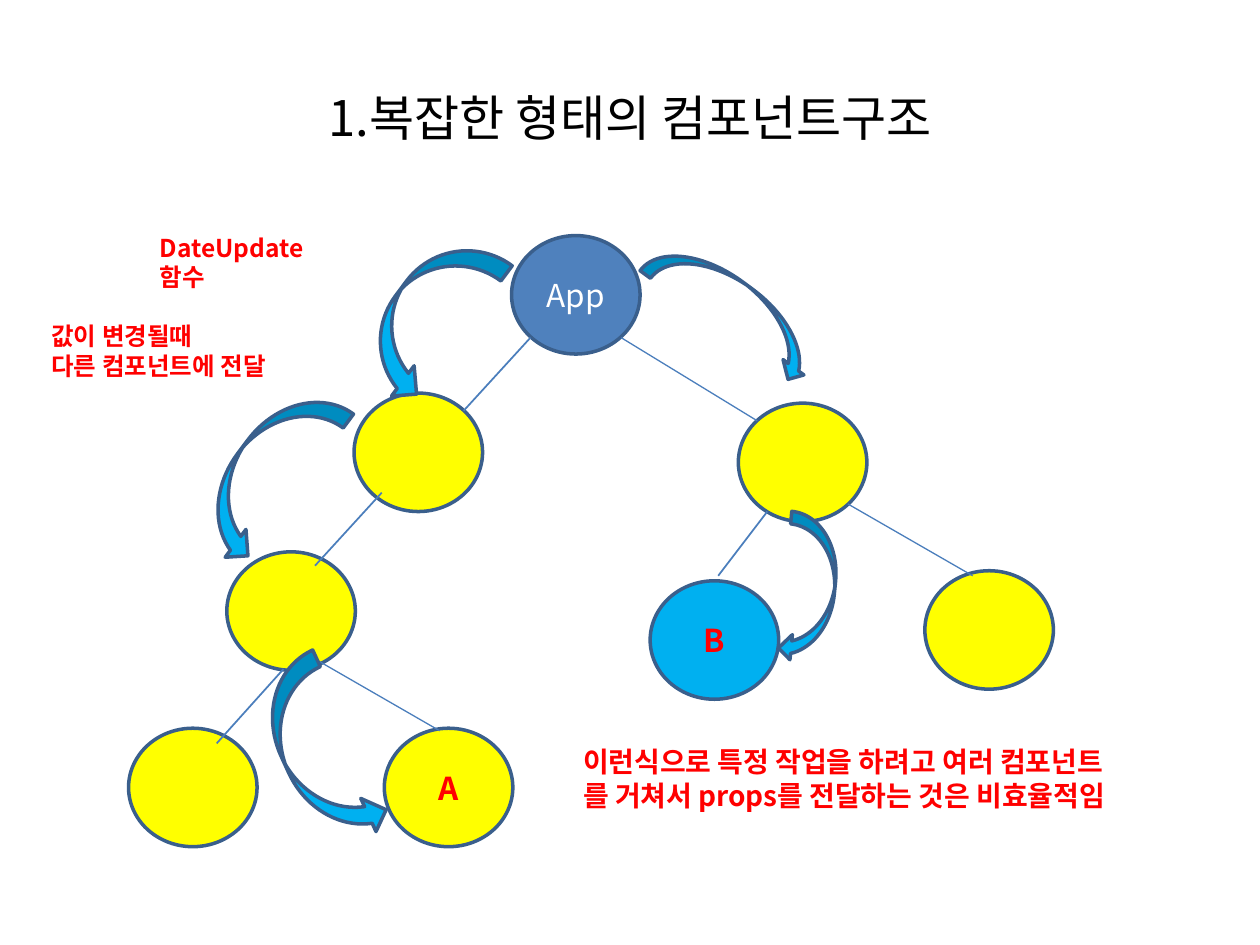
from lxml import etree
from pptx import Presentation
from pptx import util as u
from pptx.dml.color import RGBColor
from pptx.enum import shapes, text
from pptx.oxml.ns import qn

FONT = "Noto Sans CJK KR"
COLORS = {
    "black": "000000",
    "white": "FFFFFF",
    "red": "FF0000",
    "app": "4F81BD",
    "yellow": "FFFF00",
    "cyan": "00B0F0",
    "outline": "3A5F8C",
    "branch": "4B7EBC",
}
RED_BOLD = {"bold": True, "color": "red"}
NODE_WIDTH, NODE_HEIGHT = 1.02, 0.94

NODES = [
    (4.06, 1.87, "app", "App", {"color": "white"}),
    (2.81, 3.12, "yellow", "", {}),
    (1.8, 4.38, "yellow", "", {}),
    (1.02, 5.78, "yellow", "", {}),
    (3.05, 5.78, "yellow", "A", RED_BOLD),
    (5.86, 3.2, "yellow", "", {}),
    (5.16, 4.61, "cyan", "B", RED_BOLD),
    (7.34, 4.53, "yellow", "", {}),
]
BRANCHES = [
    (4.21, 2.68, 3.68, 3.26, 1),
    (3.03, 3.91, 2.5, 4.49, 1),
    (2.25, 5.31, 1.72, 5.9, 1),
    (4.93, 2.68, 6.01, 3.34, 0.75),
    (6.73, 4, 7.72, 4.57, 0.75),
    (6.09, 4.06, 5.7, 4.57, 1),
    (2.5, 5.23, 3.49, 5.8, 0.75),
]
RIGHT_ARROW = shapes.MSO_SHAPE.CURVED_RIGHT_ARROW
DOWN_ARROW = shapes.MSO_SHAPE.CURVED_DOWN_ARROW
ARROWS = [
    (RIGHT_ARROW, (3.1, 1.79, 0.6, 1.42), 36.7),
    (RIGHT_ARROW, (1.85, 2.97, 0.55, 1.54), 36.7),
    (RIGHT_ARROW, (2.25, 5.21, 0.58, 1.54), 335.3),
    (DOWN_ARROW, (5.05, 2.24, 1.56, 0.41), 36.3),
    (DOWN_ARROW, (5.83, 4.47, 1.19, 0.4), 95.6),
]
NOTES = [
    ((1.17, 1.8, 1.5, 0.57), 14, ["DateUpdate함수"]),
    ((0.31, 2.5, 2.11, 0.57), 14, ["값이 변경될때", "다른 컴포넌트에 전달"]),
    ((4.53, 5.86, 4.86, 0.64), 16, [
        "이런식으로 특정 작업을 하려고 여러 컴포넌트",
        "를 거쳐서 props를 전달하는 것은 비효율적임",
    ]),
]


def inches(values):
    return [u.Inches(value) for value in values]


def color(name):
    return RGBColor.from_string(COLORS[name])


def write(para, words, size, style):
    span = para.add_run()
    span.text = words
    formats = {"name": FONT, "size": u.Pt(size), "bold": style.get("bold", False)}
    for key, value in formats.items():
        setattr(span.font, key, value)
    span.font.color.rgb = color(style["color"])
    east_asian = etree.SubElement(span.font._element, qn("a:ea"))
    east_asian.set("typeface", FONT)


def add_title(page, words):
    title = page.shapes.title
    bounds = inches((0.5, 0.3, 9, 1.25))
    for key, value in zip(("left", "top", "width", "height"), bounds):
        setattr(title, key, value)
    title.text_frame.vertical_anchor = text.MSO_ANCHOR.MIDDLE
    para = title.text_frame.paragraphs[0]
    para.alignment = text.PP_ALIGN.CENTER
    write(para, words, 28, {"color": "black"})


def add_outlined(page, preset, bounds, fill):
    shape = page.shapes.add_shape(preset, *inches(bounds))
    shape.shadow.inherit = False
    shape.fill.solid()
    shape.fill.fore_color.rgb = color(fill)
    shape.line.color.rgb = color("outline")
    shape.line.width = u.Pt(2)
    return shape


def add_node(page, left, top, fill, label, style):
    bounds = (left, top, NODE_WIDTH, NODE_HEIGHT)
    node = add_outlined(page, shapes.MSO_SHAPE.OVAL, bounds, fill)
    if label:
        node.text_frame.vertical_anchor = text.MSO_ANCHOR.MIDDLE
        para = node.text_frame.paragraphs[0]
        para.alignment = text.PP_ALIGN.CENTER
        write(para, label, 18, style)


def add_branch(page, *values):
    *ends, width = values
    branch = page.shapes.add_connector(shapes.MSO_CONNECTOR.STRAIGHT, *inches(ends))
    branch.line.color.rgb = color("branch")
    branch.line.width = u.Pt(width)
    etree.SubElement(branch._element.spPr, qn("a:effectLst"))


def add_arrow(page, preset, bounds, rotation):
    arrow = add_outlined(page, preset, bounds, "cyan")
    arrow.rotation = rotation


def add_note(page, bounds, size, lines):
    box = page.shapes.add_textbox(*inches(bounds))
    box.text_frame.word_wrap = True
    for index, line in enumerate(lines):
        para = box.text_frame.add_paragraph() if index else box.text_frame.paragraphs[0]
        write(para, line, size, RED_BOLD)


def main():
    deck = Presentation()
    deck.slide_width, deck.slide_height = inches((10, 7.5))
    page = deck.slides.add_slide(deck.slide_layouts[5])
    add_title(page, "1.복잡한 형태의 컴포넌트구조")
    for add, items in (
        (add_node, NODES),
        (add_branch, BRANCHES),
        (add_arrow, ARROWS),
        (add_note, NOTES),
    ):
        for item in items:
            add(page, *item)
    deck.save("out.pptx")


if __name__ == "__main__":
    main()
